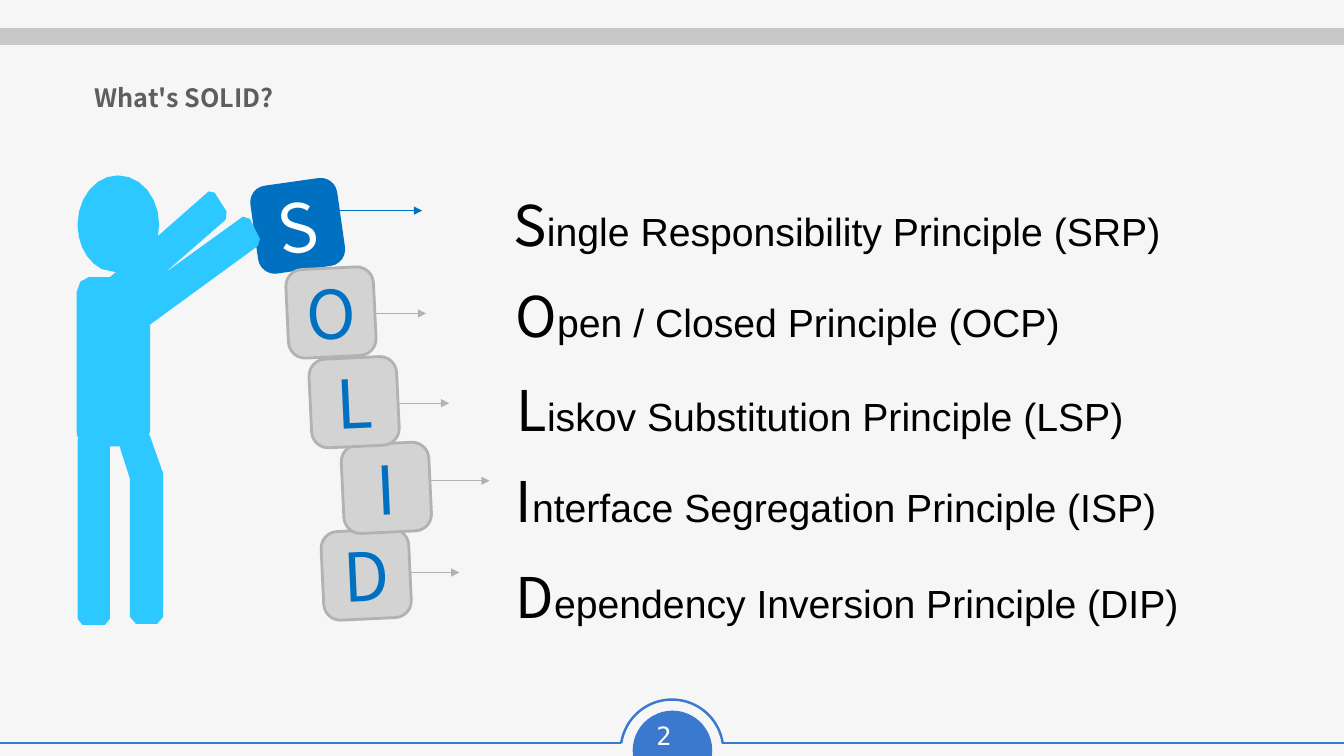
from math import dist
from pptx import Presentation, util as u
from pptx.dml.color import RGBColor
from pptx.enum import shapes, text
from pptx.oxml.ns import qn
from lxml import etree

PX = 9144  # 100 px to the inch
W, H = 1334, 750
PAPER = RGBColor(0xF6, 0xF6, 0xF6)
WHITE = RGBColor(0xFF, 0xFF, 0xFF)
BLACK = RGBColor(0x00, 0x00, 0x00)
GREY = RGBColor(0x5F, 0x5E, 0x5C)
BAND = RGBColor(0xC8, 0xC8, 0xC8)
BLOCK = RGBColor(0xD3, 0xD3, 0xD3)
EDGE = RGBColor(0xB2, 0xB2, 0xB2)
BLUE = RGBColor(0x00, 0x70, 0xC0)
TRIM = RGBColor(0x3B, 0x79, 0xCE)
SKY = RGBColor(0x2D, 0xC8, 0xFF)
SANS = "Noto Sans CJK SC"

# letter, block (x, y), arrow (x1, x2, y), from back to front
BLOCKS = [
    ("D", (320, 526), (408, 456, 568)),
    ("I", (340, 440), (426, 486, 477)),
    ("L", (308, 355), (394, 446, 400)),
    ("S", (252, 180), (335, 419, 209)),
    ("O", (285, 266), (371, 423, 311)),
]
LABELS = [
    ("S", "ingle Responsibility Principle (SRP)", 500, 151),
    ("O", "pen / Closed Principle (OCP)", 502, 241),
    ("L", "iskov Substitution Principle (LSP)", 503, 334),
    ("I", "nterface Segregation Principle (ISP)", 502, 425),
    ("D", "ependency Inversion Principle (DIP)", 502, 520),
]

# Two numbers are a corner; six are the controls and end of a Bezier curve
MAN = [
    (117, 174), (140, 174, 158, 196, 158, 223), (158, 226, 158, 229, 157, 232),
    (157, 234), (207, 190), (209, 188, 212, 189, 213, 191), (225, 210),
    (226, 212, 226, 216, 224, 218), (162, 272), (241, 215),
    (243, 213, 246, 214, 248, 217), (258, 237), (259, 239, 258, 243, 256, 244),
    (149, 322), (149, 428), (148, 431), (149, 433), (160, 464), (160, 465),
    (161, 466, 162, 467, 162, 469), (162, 612), (162, 616, 159, 619, 156, 619),
    (135, 619), (132, 619, 129, 616, 129, 612), (129, 475), (120, 447),
    (119, 443), (109, 443), (109, 614), (109, 617, 107, 620, 104, 620),
    (82, 620), (80, 620, 77, 617, 77, 614), (77, 437), (78, 434), (77, 434),
    (77, 432, 76, 430, 76, 428), (76, 290), (76, 282, 82, 275, 88, 275),
    (109, 275), (115, 270), (101, 267), (87, 260, 77, 243, 77, 223),
    (77, 196, 95, 174, 117, 174),
]


def style(run, size, font, color, bold=False):
    run.font.size = u.Pt(size)
    run.font.name = font
    run.font.color.rgb = color
    run.font.bold = bold


def paint(shape, fill=None, edge=None, width=1):
    shape.shadow.inherit = False
    if fill is None:
        shape.fill.background()
    else:
        shape.fill.solid()
        shape.fill.fore_color.rgb = fill
    if edge is None:
        shape.line.fill.background()
    else:
        shape.line.color.rgb = edge
        shape.line.width = u.Pt(width)


def add_form(slide, kind, box, adjust, turn=0, **look):
    shape = slide.shapes.add_shape(kind, *(n * PX for n in box))
    for i, value in enumerate(adjust):
        shape.adjustments[i] = value
    shape.rotation = turn
    paint(shape, **look)
    return shape


def add_line(slide, x1, x2, y, color, width, arrow=False):
    line = slide.shapes.add_connector(
        shapes.MSO_CONNECTOR.STRAIGHT, x1 * PX, y * PX, x2 * PX, y * PX)
    line.line.color.rgb = color
    line.line.width = u.Pt(width)
    if arrow:
        etree.SubElement(line.get_or_add_ln(), qn("a:tailEnd"), type="triangle")
    etree.SubElement(line.element.spPr, qn("a:effectLst"))


def add_text(slide, box, runs, space=1.0, align=text.PP_ALIGN.LEFT):
    """Add one paragraph; each run is (words, size, font, color[, bold])."""
    frame = slide.shapes.add_textbox(*(n * PX for n in box)).text_frame
    frame.word_wrap = True
    para = frame.paragraphs[0]
    para.line_spacing = space
    para.alignment = align
    for words, *look in runs:
        run = para.add_run()
        run.text = words
        style(run, *look)


def add_block(slide, letter, spot, first):
    look = {"fill": BLUE} if first else {"fill": BLOCK, "edge": EDGE, "width": 2}
    block = add_form(slide, shapes.MSO_SHAPE.ROUNDED_RECTANGLE, (*spot, 87, 88),
                     [0.19], 351.9 if first else 357.3, **look)
    frame = block.text_frame
    frame.text = letter
    frame.vertical_anchor = text.MSO_ANCHOR.MIDDLE
    para = frame.paragraphs[0]
    para.alignment = text.PP_ALIGN.CENTER
    style(para.runs[0], 48, "Noto Sans CJK JP", WHITE if first else BLUE)


def trace(path):
    """Turn corners and Bezier curves into points, more for longer curves."""
    points = [path[0]]
    for *grips, x, y in path[1:]:
        start = points[-1]
        knots = [start, grips[:2], grips[2:], (x, y)]
        steps = max(1, round(dist(start, (x, y)) / 10)) if grips else 1
        for i in range(1, steps):
            t = i / steps
            mix = ((1 - t) ** 3, 3 * t * (1 - t) ** 2, 3 * t * t * (1 - t), t ** 3)
            points.append(tuple(sum(m * k[a] for m, k in zip(mix, knots))
                                for a in (0, 1)))
        points.append((x, y))
    return points


def add_man(slide):
    points = [(round(x * PX), round(y * PX)) for x, y in trace(MAN)]
    form = slide.shapes.build_freeform(*points[0])
    form.add_line_segments(points[1:-1], close=True)
    paint(form.convert_to_shape(), fill=SKY)


def add_frame(slide):
    """Draw the top band and the footer with the page number."""
    add_form(slide, shapes.MSO_SHAPE.CHORD, (628, 705, 79, 79),
             [35.77, 153.29], 112.4, fill=TRIM)
    for x1, x2 in ((717, W), (0, 616)):
        add_line(slide, x1, x2, 737, TRIM, 1.77)
    add_text(slide, (623, 710, 87, 40), [("2 ", 18, "DejaVu Sans Mono", WHITE)],
             align=text.PP_ALIGN.CENTER)
    add_line(slide, 0, W, 36, BAND, 12)
    add_form(slide, shapes.MSO_SHAPE.ARC, (616, 694, 102, 102),
             [113.17, 210.98], edge=TRIM, width=1.77)


def main():
    deck = Presentation()
    deck.slide_width, deck.slide_height = W * PX, H * PX
    slide = deck.slides.add_slide(deck.slide_layouts[6])
    slide.background.fill.solid()
    slide.background.fill.fore_color.rgb = PAPER
    add_frame(slide)
    add_text(slide, (84, 68, 969, 46), [("What's SOLID?", 18, SANS, GREY, True)], 1.3)
    for letter, spot, arrow in BLOCKS:
        first = letter == "S"
        add_block(slide, letter, spot, first)
        add_line(slide, *arrow, BLUE if first else EDGE, 0.75, arrow=True)
        if first:
            add_man(slide)
    for letter, rest, x, y in LABELS:
        add_text(slide, (x, y, 795, 111),
                 [(letter, 40, SANS, BLACK), (rest, 28, "Arial", BLACK)], 1.5)
    deck.save("out.pptx")


if __name__ == "__main__":
    main()
